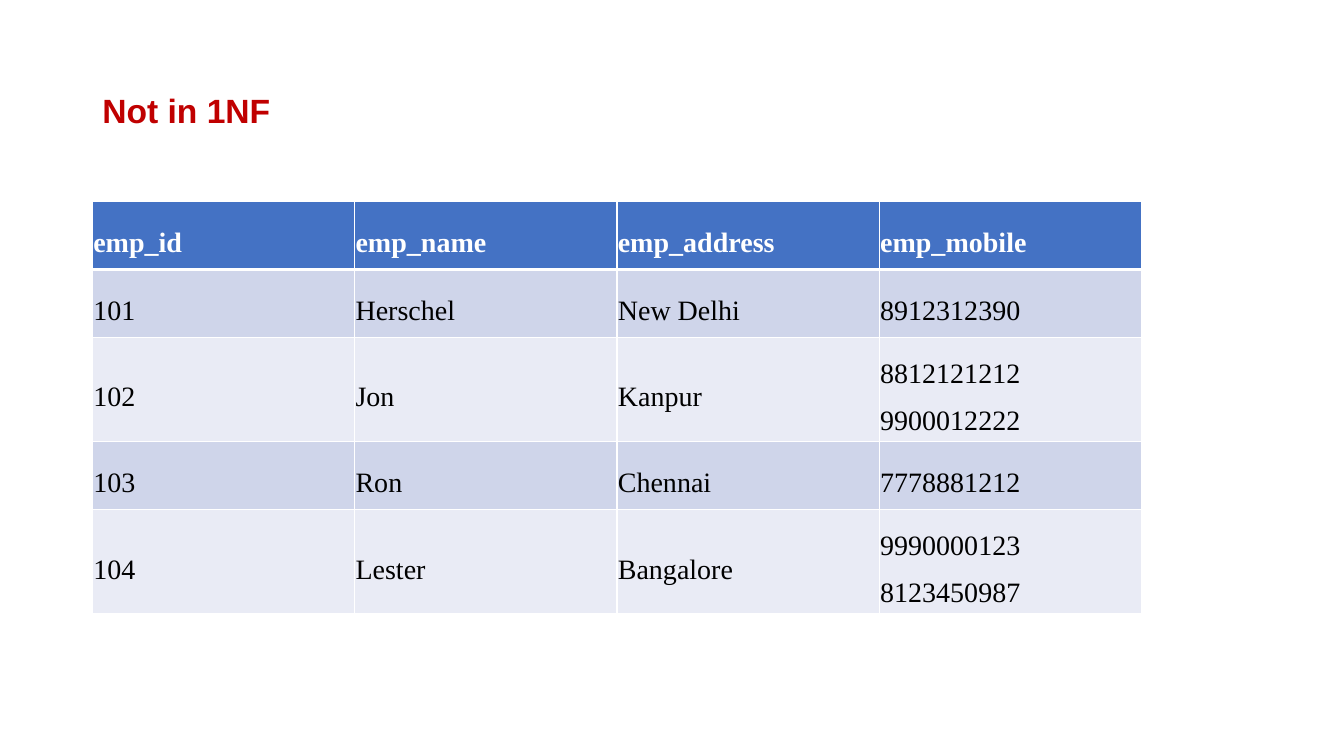
from lxml import etree
from pptx import Presentation
from pptx.dml.color import RGBColor
from pptx.enum.text import MSO_ANCHOR
from pptx.oxml.ns import qn
from pptx.util import Cm, Pt

MIDDLE = MSO_ANCHOR.MIDDLE

RED = RGBColor(0xC0, 0x00, 0x00)
BLUE = RGBColor(0x44, 0x72, 0xC4)
BAND_DARK = RGBColor(0xCF, 0xD5, 0xEA)
BAND_LIGHT = RGBColor(0xE9, 0xEB, 0xF5)
WHITE = RGBColor(0xFF, 0xFF, 0xFF)
BLACK = RGBColor(0x00, 0x00, 0x00)

EMPLOYEES = [
    ["emp_id", "emp_name", "emp_address", "emp_mobile"],
    ["101", "Herschel", "New Delhi", "8912312390"],
    ["102", "Jon", "Kanpur", "8812121212\n9900012222"],
    ["103", "Ron", "Chennai", "7778881212"],
    ["104", "Lester", "Bangalore", "9990000123\n8123450987"],
]


class SlideBuilder:
    """Holds the style and the current slide."""

    title_font = "Arial"
    table_font = "Times New Roman"
    left = Cm(2.33)
    column_width = Cm(6.61)
    single_row, double_row = Cm(1.71), Cm(2.63)
    cell_margin = Cm(0.02)
    thin, thick = Pt(1), Pt(3)

    def __init__(self, presentation):
        self.slide = presentation.slides.add_slide(presentation.slide_layouts[6])

    def format_text(self, frame, font_name, size, color, bold, spacing):
        for paragraph in frame.paragraphs:
            paragraph.line_spacing = spacing
            for run in paragraph.runs:
                run.font.name = font_name
                run.font.size = Pt(size)
                run.font.bold = bold
                run.font.color.rgb = color

    def title(self, text):
        heading = self.slide.shapes.add_textbox(self.left, Cm(1.01), Cm(29.21), Cm(3.68))
        frame = heading.text_frame
        frame.word_wrap = True
        frame.vertical_anchor = MIDDLE
        frame.text = text
        self.format_text(frame, self.title_font, 24, RED, True, 0.9)

    def borders(self, cell, top, bottom):
        properties = cell._tc.get_or_add_tcPr()
        widths = {"a:lnL": self.thin, "a:lnR": self.thin, "a:lnT": top, "a:lnB": bottom}
        for side, width in widths.items():
            line = etree.SubElement(properties, qn(side), w=str(width))
            fill = etree.SubElement(line, qn("a:solidFill"))
            etree.SubElement(fill, qn("a:srgbClr"), val=str(WHITE))

    def cell(self, cell, text, row_index):
        is_header = row_index == 0
        cell.text = text
        cell.vertical_anchor = MIDDLE
        cell.margin_left = cell.margin_right = self.cell_margin
        cell.margin_top = cell.margin_bottom = self.cell_margin
        self.borders(cell,
                     top=self.thick if row_index == 1 else self.thin,
                     bottom=self.thick if is_header else self.thin)
        cell.fill.solid()
        band = BAND_DARK if row_index % 2 else BAND_LIGHT
        cell.fill.fore_color.rgb = BLUE if is_header else band
        self.format_text(cell.text_frame, self.table_font, 20,
                         WHITE if is_header else BLACK, is_header, 1.5)

    def table(self, rows):
        # Rows with two phone numbers are taller
        heights = [self.double_row if "\n" in row[-1] else self.single_row for row in rows]
        columns = len(rows[0])
        table = self.slide.shapes.add_table(
            len(rows), columns, self.left, Cm(5.08),
            self.column_width * columns, sum(heights)).table
        for column in table.columns:
            column.width = self.column_width
        for row_index, (row, height) in enumerate(zip(rows, heights)):
            table.rows[row_index].height = height
            for column_index, text in enumerate(row):
                self.cell(table.cell(row_index, column_index), text, row_index)


def main():
    presentation = Presentation()
    presentation.slide_width = Cm(33.87)
    presentation.slide_height = Cm(19.05)
    builder = SlideBuilder(presentation)

    # Heading
    builder.title("Not in 1NF")

    # Employee table with repeated phone numbers
    builder.table(EMPLOYEES)

    presentation.save("out.pptx")


if __name__ == "__main__":
    main()
